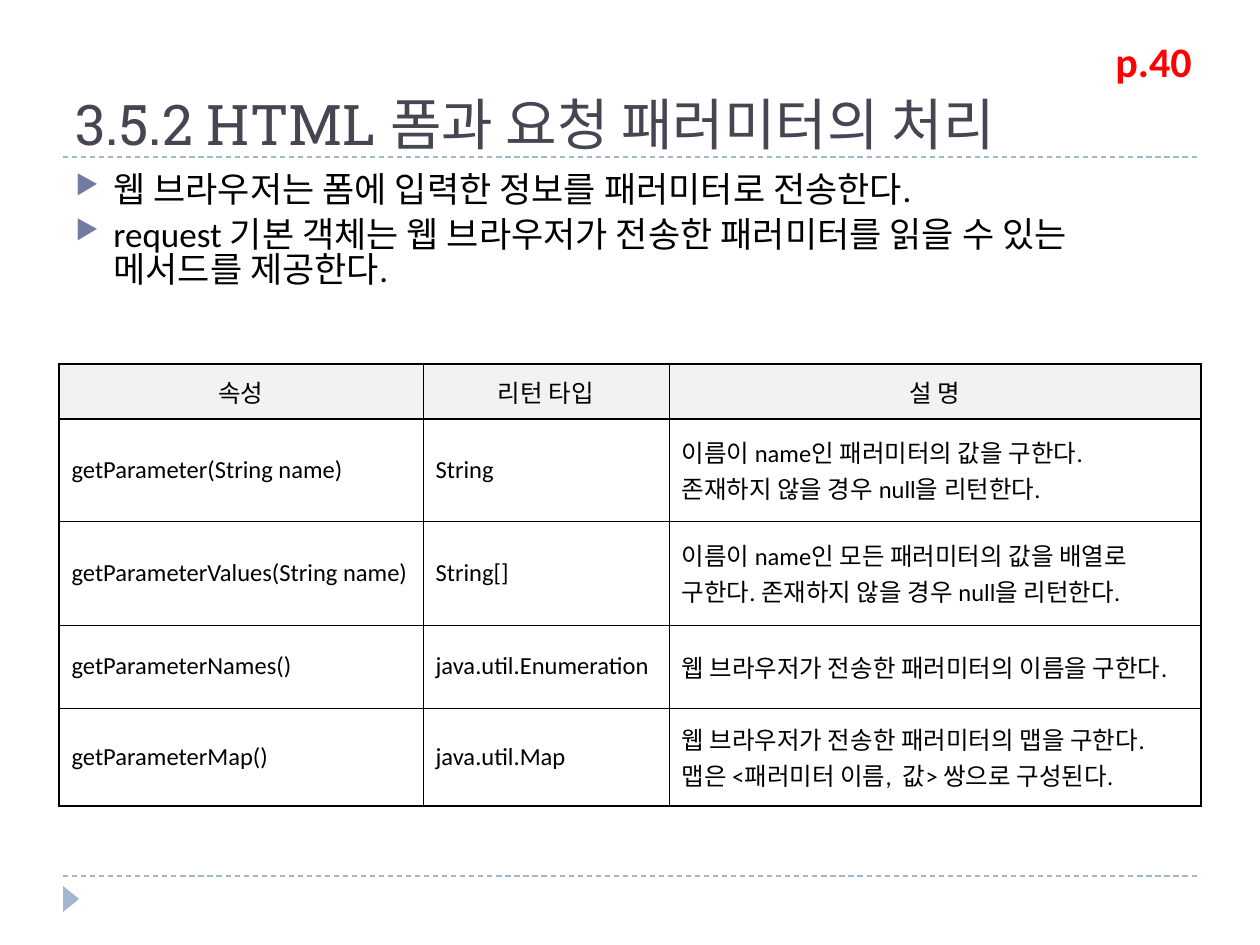
from lxml.etree import SubElement
from pptx import Presentation
from pptx.dml.color import RGBColor
from pptx.enum.dml import MSO_LINE
from pptx.enum.shapes import MSO_CONNECTOR, MSO_SHAPE
from pptx.enum.text import MSO_ANCHOR, PP_ALIGN
from pptx.oxml.ns import qn
from pptx.util import Pt

PX = 914400 / 126
COLORS = {"title": "464653", "text": "000000", "page": "FF0000", "bullet": "727CA3",
          "accent": "9FB8CD", "header": "F2F2F2", "border": "000000"}

TITLE = "3.5.2 HTML 폼과 요청 패러미터의 처리"
PAGE_REF = "p.40"
BULLETS = [
    "웹 브라우저는 폼에 입력한 정보를 패러미터로 전송한다.",
    "request 기본 객체는 웹 브라우저가 전송한 패러미터를 읽을 수 있는 메서드를 제공한다.",
]
ROWS = [
    ("속성", "리턴 타입", "설 명"),
    ("getParameter(String name)", "String",
     "이름이 name인 패러미터의 값을 구한다.\n존재하지 않을 경우 null을 리턴한다."),
    ("getParameterValues(String name)", "String[]",
     "이름이 name인 모든 패러미터의 값을 배열로 구한다. 존재하지 않을 경우 null을 리턴한다."),
    ("getParameterNames()", "java.util.Enumeration",
     "웹 브라우저가 전송한 패러미터의 이름을 구한다."),
    ("getParameterMap()", "java.util.Map",
     "웹 브라우저가 전송한 패러미터의 맵을 구한다. 맵은 <패러미터 이름,  값> 쌍으로 구성된다."),
]
COLUMN_WIDTHS = [364, 246, 532]
ROW_HEIGHTS = [55, 102, 104, 83, 98]
RULE_LEFT, RULE_RIGHT = 63, 1197
RULE_HEIGHTS = [157, 876]


def px(*lengths):
    return [round(length * PX) for length in lengths]


def color(name):
    return RGBColor.from_string(COLORS[name])


def style(frame, size, color_name, font="Calibri", bold=False):
    for para in frame.paragraphs:
        for span in para.runs:
            span.font.name, span.font.size, span.font.bold = font, Pt(size), bold
            span.font.color.rgb = color(color_name)


def add_text(page, area, text, *look, **options):
    frame = page.shapes.add_textbox(*px(*area)).text_frame
    frame.word_wrap = True
    frame.text = text
    style(frame, *look, **options)
    return frame


def add_rule(page, top):
    rule = page.shapes.add_connector(MSO_CONNECTOR.STRAIGHT,
                                     *px(RULE_LEFT, top, RULE_RIGHT, top))
    rule.line.color.rgb = color("accent")
    rule.line.width = Pt(0.75)
    rule.line.dash_style = MSO_LINE.DASH
    SubElement(rule._element.spPr, qn("a:effectLst"))


def add_bullet(para):
    props = para._p.get_or_add_pPr()
    indent = px(38)[0]
    props.set("marL", str(indent))
    props.set("indent", str(-indent))
    tint = SubElement(props, qn("a:buClr"))
    SubElement(tint, qn("a:srgbClr"), val=COLORS["bullet"])
    SubElement(props, qn("a:buSzPct"), val="76000")
    SubElement(props, qn("a:buChar"), char="▶")


def set_borders(cell, widths):
    """Draw the sides of a cell; widths maps L, R, T and B to points."""
    props = cell._tc.get_or_add_tcPr()
    for position, (side, width) in enumerate(widths.items()):
        line = props.makeelement(qn(f"a:ln{side}"), {"w": str(Pt(width))})
        fill = SubElement(line, qn("a:solidFill"))
        SubElement(fill, qn("a:srgbClr"), val=COLORS["border"])
        props.insert(position, line)


def add_method_table(page):
    last_row, last_column = len(ROWS) - 1, len(COLUMN_WIDTHS) - 1
    area = px(59, 364, sum(COLUMN_WIDTHS), sum(ROW_HEIGHTS))
    table = page.shapes.add_table(len(ROWS), len(COLUMN_WIDTHS), *area).table
    for column, width in zip(table.columns, px(*COLUMN_WIDTHS)):
        column.width = width
    for row, height in zip(table.rows, px(*ROW_HEIGHTS)):
        row.height = height
    for r, texts in enumerate(ROWS):
        for c, text in enumerate(texts):
            cell = table.cell(r, c)
            cell.text_frame.text = text
            cell.vertical_anchor = MSO_ANCHOR.MIDDLE
            style(cell.text_frame, 14, "text")
            if r == 0:
                cell.text_frame.paragraphs[0].alignment = PP_ALIGN.CENTER
                cell.fill.solid()
                cell.fill.fore_color.rgb = color("header")
            else:
                cell.fill.background()
            thick = {"L": c == 0, "R": c == last_column,
                     "T": r <= 1, "B": r in (0, last_row)}
            set_borders(cell, {side: 1 if wide else 0.5 for side, wide in thick.items()})


def main():
    deck = Presentation()
    deck.slide_width, deck.slide_height = px(1260, 945)
    page = deck.slides.add_slide(deck.slide_layouts[6])

    for top in reversed(RULE_HEIGHTS):
        add_rule(page, top)
    marker = page.shapes.add_shape(MSO_SHAPE.ISOSCELES_TRIANGLE, *px(58, 891, 26, 16))
    marker.rotation = 90
    marker.shadow.inherit = False
    marker.fill.solid()
    marker.fill.fore_color.rgb = color("accent")
    marker.line.fill.background()

    title = add_text(page, (63, 21, 1134, 136), TITLE, 32, "title", font="Roboto Slab")
    title.vertical_anchor = MSO_ANCHOR.BOTTOM
    title.margin_bottom = 0

    body = add_text(page, (63, 168, 1134, 680), "\n".join(BULLETS), 20, "text")
    for index, para in enumerate(body.paragraphs):
        add_bullet(para)
        para.line_spacing = 0.83
        para.space_before = Pt(6 if index else 0)

    add_method_table(page)
    add_text(page, (1103, 29, 128, 63), PAGE_REF, 24, "page", bold=True)
    deck.save("out.pptx")


if __name__ == "__main__":
    main()
